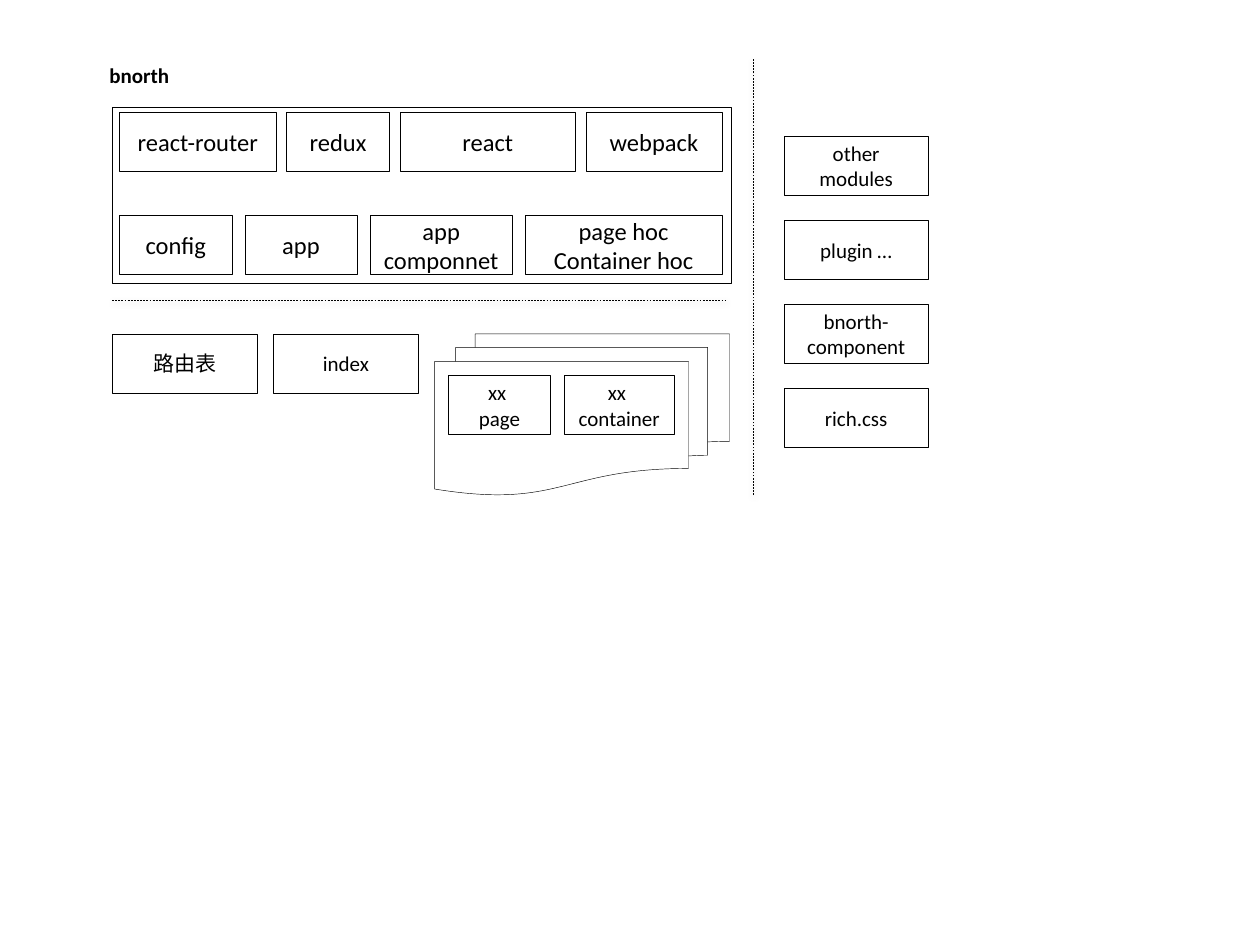
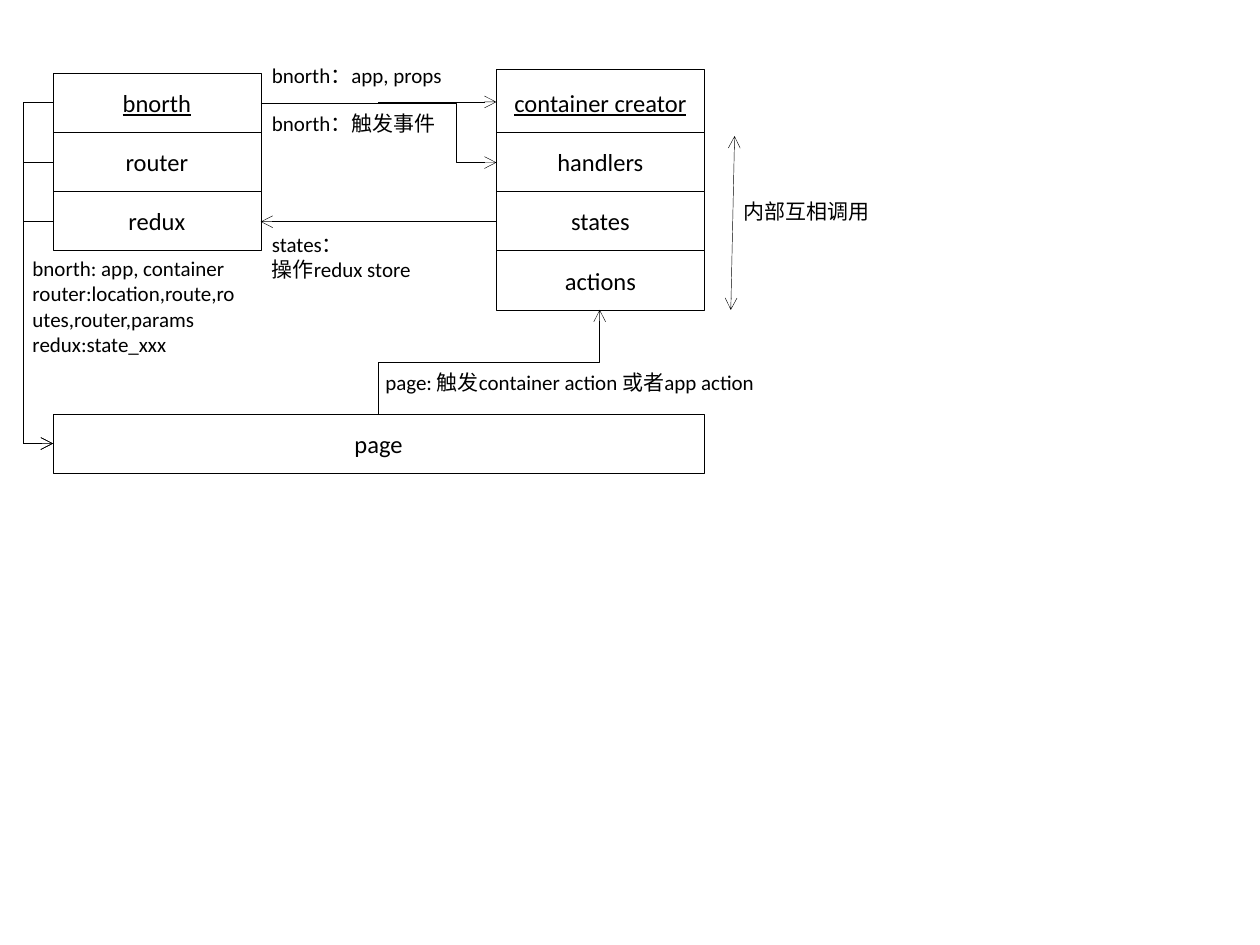
"""Build two diagram slides: the bnorth module map and its call flow."""
from lxml import etree
from pptx import Presentation
from pptx.dml.color import RGBColor
from pptx.enum.dml import MSO_LINE
from pptx.enum.shapes import MSO_CONNECTOR, MSO_SHAPE
from pptx.enum.text import MSO_ANCHOR, MSO_AUTO_SIZE, PP_ALIGN
from pptx.oxml.ns import qn
from pptx.util import Inches, Pt

RECT = MSO_SHAPE.RECTANGLE
DOCS = MSO_SHAPE.FLOWCHART_MULTIDOCUMENT
LINE, ELBOW = MSO_CONNECTOR.STRAIGHT, MSO_CONNECTOR.ELBOW
DASH = MSO_LINE.DASH
MIDDLE = MSO_ANCHOR.MIDDLE
CENTER, LEFT = PP_ALIGN.CENTER, PP_ALIGN.LEFT
GROW = MSO_AUTO_SIZE.SHAPE_TO_FIT_TEXT

WIDE, HIGH = 10, 7.5
FONT, INK, PAPER = "Calibri", "000000", "FFFFFF"
THIN, BIG, SMALL = 0.25, 14, 12
CELL = 0.47

FRAME = (0.89, 0.85, 4.91, 1.4)
INNER = (0.95, 5.73)
LIBS = [("react-router", 1.24), ("redux", 0.82), ("react", 1.39), ("webpack", 1.08)]
PARTS = [("config", 0.89), ("app", 0.89), ("app componnet", 1.13),
         ("page hoc\nContainer hoc", 1.56)]
FILES = [("路由表", 1.15), ("index", 1.15)]
PAGES = [("xx \npage", 0.81), ("xx \ncontainer", 0.87)]
SIDE = ["other\nmodules", "plugin …", "bnorth-component", "rich.css"]
RULES = [((0.89, 2.38), (5.77, 2.38)), ((5.98, 3.93), (5.98, 0.46))]

COL, TOP = 1.65, 0.58
LEFT_X, RIGHT_X = 0.42, 3.94
CORE = ["bnorth", "router", "redux"]
CALLS = ["handlers", "states", "actions"]
NOTES = [
    (0.16, 1.98, 1.87, 0.91, "bnorth: app, container\n"
     "router:location,route,routes,router,params\nredux:state_xxx"),
    (2.06, 1.79, 1.86, 0.5, "states：\n操作redux store"),
    (2.06, 0.45, 2.17, 0.3, "bnorth：app, props"),
    (2.96, 2.88, 3.72, 0.3, "page: 触发container action 或者app action"),
    (2.06, 0.83, 2.01, 0.3, "bnorth：触发事件"),
    (5.8, 1.53, 1.66, 0.3, "内部互相调用"),
]
FLOWS = [
    ((3.94, 1.76), (2.07, 1.76), 0.5),
    ((2.07, 0.82), (3.94, 0.81), 0.5),
    ((2.07, 0.82), (3.94, 1.29), 0.83),
]


def tint(code):
    return RGBColor.from_string(code)


def write(frame, text, size, align, bold=None, under=None):
    for i, line in enumerate(text.split("\n")):
        para = frame.paragraphs[0] if i == 0 else frame.add_paragraph()
        para.alignment = align
        run = para.add_run()
        run.text = line
        font = run.font
        font.name, font.size, font.bold, font.underline = FONT, Pt(size), bold, under
        font.color.rgb = tint(INK)


def box(shapes, x, y, w, h, text="", size=BIG, kind=RECT, under=None):
    shape = shapes.add_shape(kind, *map(Inches, (x, y, w, h)))
    shape.shadow.inherit = False
    shape.fill.solid()
    shape.fill.fore_color.rgb = tint(PAPER)
    shape.line.color.rgb = tint(INK)
    shape.line.width = Pt(THIN)
    if text:
        frame = shape.text_frame
        frame.word_wrap, frame.vertical_anchor = True, MIDDLE
        write(frame, text, size, CENTER, under=under)


def row(shapes, items, left, right, y, size):
    gap = (right - left - sum(w for _, w in items)) / (len(items) - 1)
    for text, w in items:
        box(shapes, left, y, w, CELL, text, size)
        left += w + gap


def note(shapes, x, y, w, h, text, bold=None, wrap=True):
    frame = shapes.add_textbox(*map(Inches, (x, y, w, h))).text_frame
    frame.word_wrap, frame.auto_size = wrap, GROW
    write(frame, text, SMALL, LEFT, bold)


def wire(shapes, start, end, kind=LINE):
    link = shapes.add_connector(kind, *map(Inches, start + end))
    link.line.color.rgb = tint(INK)
    link.line.width = Pt(THIN)
    return link


def arrow(shapes, start, end, bend=None, both=False, upright=False):
    if upright:
        mx, my = (start[0] + end[0]) / 2, (start[1] + end[1]) / 2
        start, end = [(mx + y - my, my - x + mx) for x, y in (start, end)]
    link = wire(shapes, start, end, ELBOW if bend else LINE)
    props = link._element.spPr
    if upright:
        props.find(qn("a:xfrm")).set("rot", "5400000")
    if bend:
        guides = props.find(qn("a:prstGeom")).find(qn("a:avLst"))
        etree.SubElement(guides, qn("a:gd"), name="adj1",
                         fmla=f"val {round(bend * 100000)}")
    for tag in ("a:headEnd", "a:tailEnd") if both else ("a:tailEnd",):
        etree.SubElement(props.find(qn("a:ln")), qn(tag), type="arrow")
    etree.SubElement(props, qn("a:effectLst"))


def draw_map(shapes):
    row(shapes, FILES, 0.89, 3.32, 2.65, SMALL)
    group = shapes.add_group_shape().shapes
    box(group, 3.45, 2.65, 2.34, 1.28, kind=DOCS)
    row(group, PAGES, 3.56, 5.35, 2.98, SMALL)
    for start, end in RULES:
        wire(shapes, start, end).line.dash_style = DASH
    for i, text in enumerate(SIDE):
        box(shapes, 6.22, 1.08 + i * 2 / 3, 1.15, CELL, text, SMALL)
    box(shapes, *FRAME)
    note(shapes, 0.77, 0.45, 0.68, 0.3, "bnorth", bold=True, wrap=False)
    row(shapes, LIBS, *INNER, 0.89, BIG)
    row(shapes, PARTS, *INNER, 1.71, BIG)


def draw_flow(shapes):
    box(shapes, LEFT_X, 3.29, RIGHT_X + COL - LEFT_X, CELL, "page")
    box(shapes, RIGHT_X, 0.55, COL, 0.53, "container creator", under=True)
    for i, text in enumerate(CALLS, 1):
        box(shapes, RIGHT_X, TOP + i * CELL, COL, CELL, text)
    for i, text in enumerate(CORE):
        y = TOP + i * CELL
        box(shapes, LEFT_X, y, COL, CELL, text, under=True if i == 0 else None)
        arrow(shapes, (LEFT_X + 0.01, y + CELL / 2), (LEFT_X, 3.52), bend=25)
    for start, end, bend in FLOWS:
        arrow(shapes, start, end, bend)
    arrow(shapes, (3, 3.29), (4.76, 2.46), 0.5, upright=True)
    arrow(shapes, (5.83, 1.08), (5.8, 2.46), both=True)
    for item in NOTES:
        note(shapes, *item)


def main():
    deck = Presentation()
    deck.slide_width, deck.slide_height = Inches(WIDE), Inches(HIGH)
    for draw in (draw_map, draw_flow):
        draw(deck.slides.add_slide(deck.slide_layouts[6]).shapes)
    deck.save("out.pptx")


if __name__ == "__main__":
    main()
